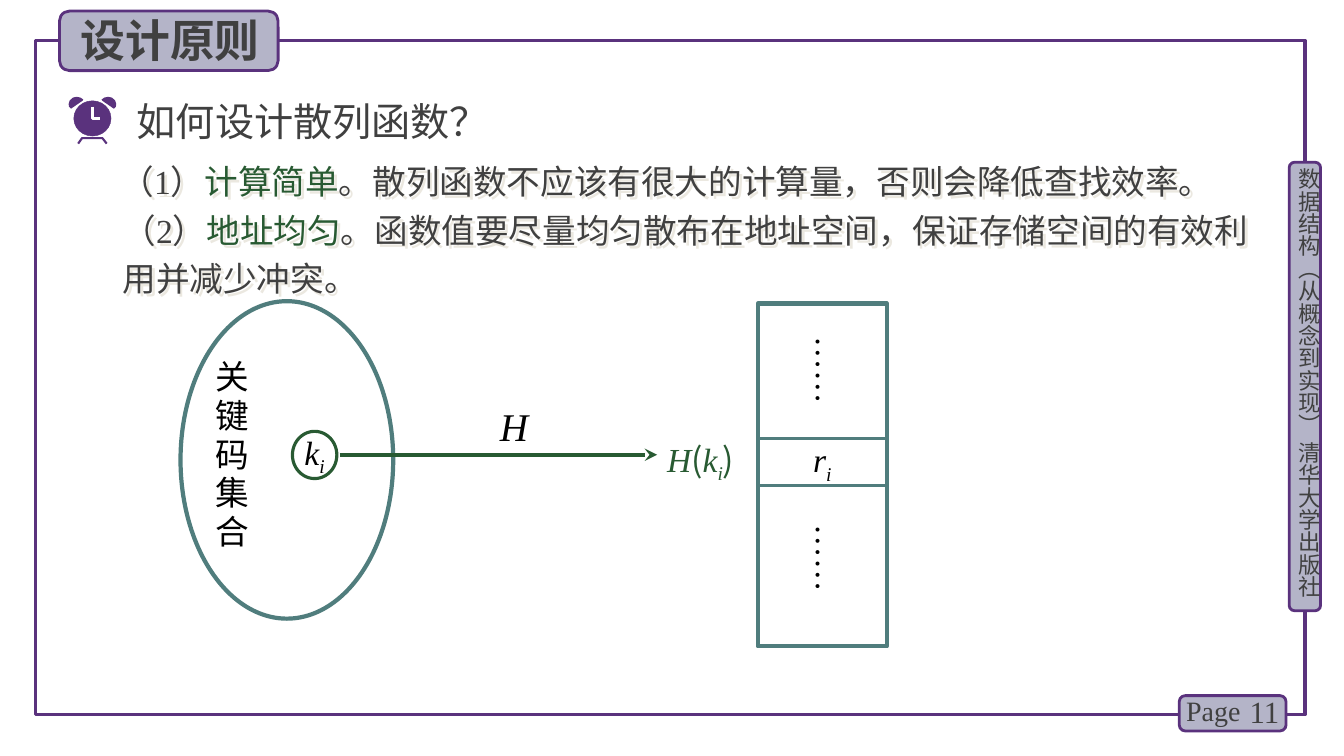
from dataclasses import dataclass
from typing import Optional

from lxml import etree
from pptx import Presentation
from pptx import util as u
from pptx.dml.color import RGBColor
from pptx.enum import shapes, text
from pptx.oxml import ns

PURPLE = RGBColor(0x5A, 0x32, 0x7D)
LILAC = RGBColor(0xB4, 0xB4, 0xC8)
GRAY = RGBColor(0x40, 0x40, 0x40)
TEAL = RGBColor(0x50, 0x7D, 0x7D)
GREEN = RGBColor(0x28, 0x5A, 0x32)
BLACK = RGBColor(0, 0, 0)
WHITE = RGBColor(255, 255, 255)
SANS, SERIF = "Noto Sans CJK SC", "Times New Roman"
SHAPE = shapes.MSO_SHAPE
LEFT, CENTER, RIGHT = text.PP_ALIGN.LEFT, text.PP_ALIGN.CENTER, text.PP_ALIGN.RIGHT
TOP, MIDDLE = text.MSO_ANCHOR.TOP, text.MSO_ANCHOR.MIDDLE
TIGHT = (0.05, 0, 0.05, 0)
DOTS_INSET = (0.05, 0.1, 0.05, 0)


@dataclass
class Box:
    """Outlined shape; lengths in centimetres, line width in points."""
    kind: SHAPE
    at: tuple
    line: RGBColor
    width: float
    fill: Optional[RGBColor] = None


@dataclass
class Piece:
    """Run of text with what differs from its label."""
    text: str
    color: Optional[RGBColor] = None
    upright: bool = False
    sub: bool = False


@dataclass
class Label:
    at: tuple
    pieces: list
    size: float
    font: str = SERIF
    color: RGBColor = GRAY
    bold: bool = False
    italic: bool = False
    align: text.PP_ALIGN = LEFT
    anchor: text.MSO_ANCHOR = TOP
    inset: tuple = (0.25, 0.13, 0.25, 0.13)
    spacing: float = 1.0
    vertical: bool = False
    shadow: bool = False


def place(s, at: tuple) -> None:
    s.left, s.top, s.width, s.height = map(u.Cm, at)


def paint(s, fill: Optional[RGBColor], line: Optional[RGBColor], width: float = 1) -> None:
    s.shadow.inherit = False
    if fill is None:
        s.fill.background()
    else:
        s.fill.solid()
        s.fill.fore_color.rgb = fill
    if line is None:
        s.line.fill.background()
    else:
        s.line.color.rgb = line
        s.line.width = u.Pt(width)


def draw_box(slide, box: Box):
    s = slide.shapes.add_shape(box.kind, *map(u.Cm, box.at))
    paint(s, box.fill, box.line, box.width)
    return s


def draw_line(slide, start: tuple, end: tuple, color: RGBColor, width: float, arrow: bool = False) -> None:
    s = slide.shapes.add_connector(shapes.MSO_CONNECTOR.STRAIGHT, *map(u.Cm, start + end))
    s.line.color.rgb = color
    s.line.width = u.Pt(width)
    if arrow:
        etree.SubElement(s.line._get_or_add_ln(), ns.qn("a:tailEnd"), type="stealth")
    etree.SubElement(s._element.spPr, ns.qn("a:effectLst"))


def draw_path(slide, points: list, fill: Optional[RGBColor], line: Optional[RGBColor], width: float = 1) -> None:
    emu = [(u.Cm(x), u.Cm(y)) for x, y in points]
    builder = slide.shapes.build_freeform(*emu[0], scale=1.0)
    builder.add_line_segments(emu[1:], close=fill is not None)
    paint(builder.convert_to_shape(), fill, line, width)


def write(s, label: Label) -> None:
    tf = s.text_frame
    tf.word_wrap = True
    tf.auto_size = text.MSO_AUTO_SIZE.NONE
    tf.vertical_anchor = label.anchor
    tf.margin_left, tf.margin_top, tf.margin_right, tf.margin_bottom = map(u.Cm, label.inset)
    if label.vertical:
        s._element.txBody.bodyPr.set("vert", "eaVert")
    p = tf.paragraphs[0]
    p.alignment, p.line_spacing = label.align, label.spacing
    p.font.name, p.font.size = label.font, u.Pt(label.size)
    p.font.bold, p.font.italic = label.bold, label.italic
    p.font.color.rgb = label.color
    east = etree.SubElement(p._p.get_or_add_pPr().get_or_add_defRPr(), ns.qn("a:ea"))
    east.set("typeface", SANS)
    for piece in label.pieces:
        r = p.add_run()
        r.text = piece.text
        if piece.color is not None:
            r.font.color.rgb = piece.color
        if piece.upright:
            r.font.italic, r.font.name = False, SANS
        if piece.sub:
            r._r.get_or_add_rPr().set("baseline", "-25000")


def draw_label(slide, label: Label) -> None:
    s = slide.shapes.add_textbox(*map(u.Cm, label.at))
    write(s, label)
    if label.shadow:
        effects = etree.SubElement(s._element.spPr, ns.qn("a:effectLst"))
        shade = etree.SubElement(effects, ns.qn("a:outerShdw"), dist="35900", dir="2700000")
        etree.SubElement(shade, ns.qn("a:srgbClr"), val="EBE8E0")


def rule(at: tuple, number: str, name: str, detail: str) -> Label:
    return Label(at, [Piece(number), Piece(name, GREEN), Piece(detail)], 24, spacing=1.2, shadow=True)


def indexed(letter: str) -> list:
    return [Piece(letter), Piece("i", sub=True)]


def draw_clock(slide) -> None:
    middle = 2.33
    bell = [(1.93, 2.44), (1.84, 2.46), (1.76, 2.53), (1.73, 2.62), (1.74, 2.69),
            (1.79, 2.74), (2.08, 2.54), (2.1, 2.51), (2.03, 2.46)]
    draw_path(slide, [(1.97, 3.62), (2.07, 3.48), (2.58, 3.48), (2.69, 3.62)], None, PURPLE, 1.5)
    for points in (bell, [(2 * middle - x, y) for x, y in bell]):
        draw_path(slide, points, PURPLE, None)
    draw_box(slide, Box(SHAPE.OVAL, (1.86, 2.54, 0.94, 0.89), PURPLE, 0.25, PURPLE))
    draw_path(slide, [(2.34, 2.69), (2.34, 2.98), (2.52, 2.98)], None, WHITE, 2)


def main() -> None:
    prs = Presentation()
    prs.slide_width, prs.slide_height = u.Cm(33.87), u.Cm(19.05)
    slide = prs.slides.add_slide(prs.slide_layouts[5])

    # Frame and badges
    draw_box(slide, Box(SHAPE.RECTANGLE, (0.89, 1.02, 32, 16.99), PURPLE, 2.25))
    for at in ((32.49, 4.09, 0.79, 11.3), (29.72, 17.53, 2.69, 0.89), (1.5, 0.28, 5.51, 1.5)):
        draw_box(slide, Box(SHAPE.ROUNDED_RECTANGLE, at, PURPLE, 2, LILAC))

    # Title, in front of its badge
    title = slide.shapes.title
    heading = Label((1.78, 0.18, 5.46, 1.63), [Piece("设计原则")], 32, SANS, bold=True)
    place(title, heading.at)
    write(title, heading)
    slide.shapes._spTree.append(title._element)

    # Key set and storage column
    draw_box(slide, Box(SHAPE.OVAL, (4.55, 7.59, 5.36, 8), TEAL, 3))
    draw_box(slide, Box(SHAPE.RECTANGLE, (19.1, 7.65, 3.25, 8.64), TEAL, 3))
    for y in (11.05, 12.24):
        draw_line(slide, (19.1, y), (22.35, y), TEAL, 2.25)

    # Mapping from key to address
    draw_line(slide, (8.56, 11.46), (16.56, 11.46), GREEN, 3, arrow=True)
    key = draw_box(slide, Box(SHAPE.OVAL, (7.37, 10.87, 1.12, 1.19), GREEN, 2.25))
    write(key, Label((), indexed("k"), 24, color=BLACK, italic=True, align=CENTER,
                     anchor=MIDDLE, inset=(0, 0, 0, 0)))
    key.text_frame.word_wrap = False

    draw_clock(slide)

    # Texts
    address = [Piece("H"), Piece("(", upright=True), *indexed("k"), Piece(")", upright=True)]
    labels = [
        Label((32.64, 4.24, 0.69, 11.4), [Piece("数据结构（从概念到实现） 清华大学出版社")], 16, SANS,
              inset=(0, 0, 0, 0), vertical=True),
        Label((29.64, 17.35, 1.98, 1.12), [Piece("Page")], 20),
        Label((30.99, 17.42, 1.5, 1.02), [Piece("11")], 22, align=RIGHT, anchor=MIDDLE),
        Label((3.2, 2.31, 25.17, 1.45), [Piece("如何设计散列函数？")], 28, SANS),
        rule((2.79, 3.73, 29.29, 1.37), "（1）", "计算简单",
             "。散列函数不应该有很大的计算量，否则会降低查找效率。"),
        rule((2.84, 4.95, 29.29, 2.62), "（2）", "地址均匀",
             "。函数值要尽量均匀散布在地址空间，保证存储空间的有效利用并减少冲突。"),
        Label((5.38, 9.04, 0.86, 4.88), [Piece("关键码集合")], 24, SANS, BLACK, inset=TIGHT, spacing=0.96),
        Label((12.55, 10.21, 1.88, 0.94), [Piece("H")], 28, color=BLACK, italic=True, inset=TIGHT, spacing=0.96),
        Label((16.76, 11.05, 2.06, 0.71), address, 24, color=GREEN, italic=True, inset=TIGHT, spacing=0.96),
        Label((19.1, 11.05, 3.25, 1.19), indexed("r"), 24, color=BLACK, italic=True, align=CENTER,
              anchor=MIDDLE, inset=TIGHT),
    ]
    labels += [Label((20.46, y, 0.94, 2.29), [Piece("……")], 24, color=BLACK, inset=DOTS_INSET,
                     spacing=0.96, vertical=True) for y in (8.38, 13.13)]
    for label in labels:
        draw_label(slide, label)

    prs.save("out.pptx")


if __name__ == "__main__":
    main()
